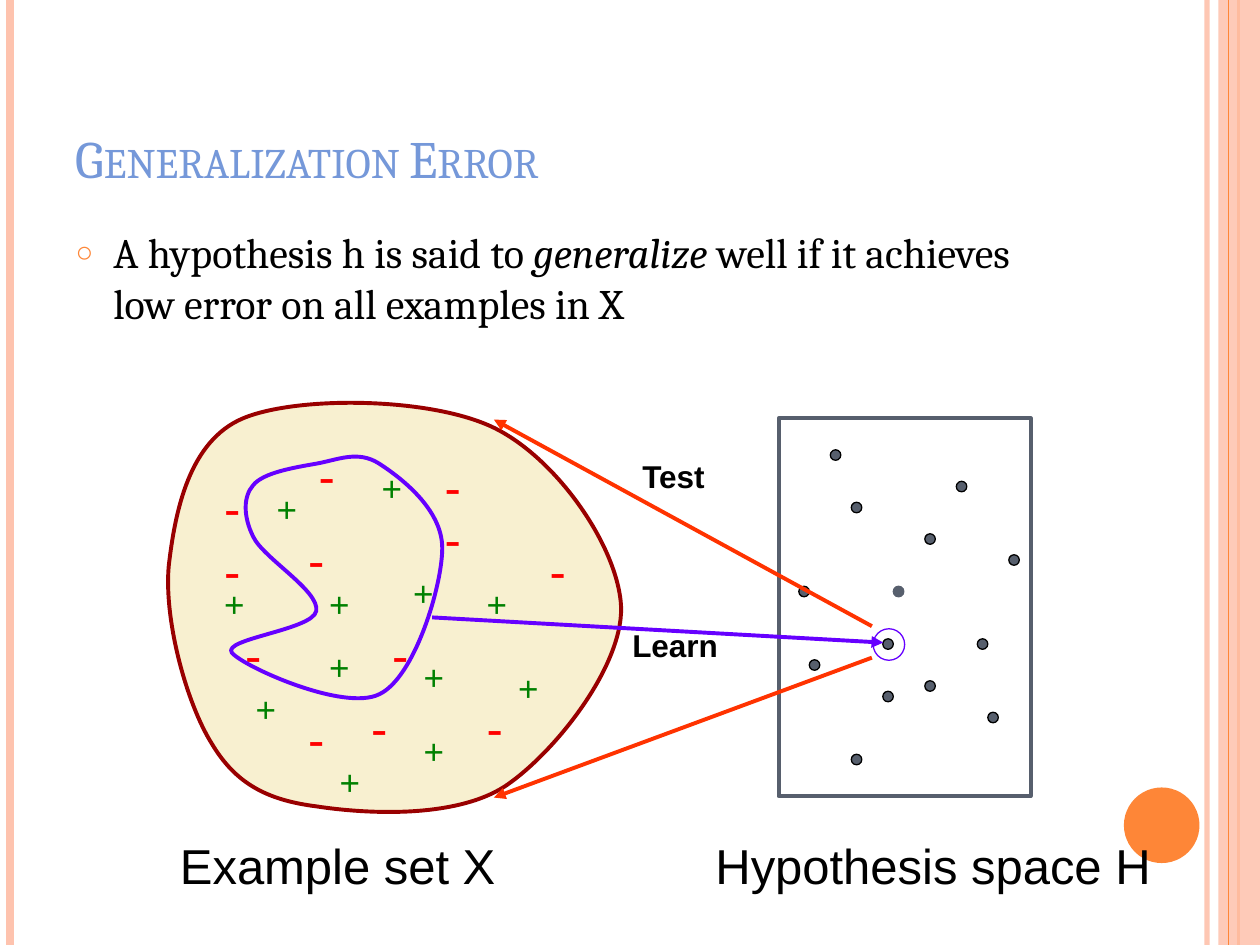
import pptx
import pptx.util
import pptx.dml.color
import pptx.enum.shapes
import pptx.enum.text
import pptx.oxml
import pptx.oxml.ns

Inches, Pt = pptx.util.Inches, pptx.util.Pt
SHAPE = pptx.enum.shapes.MSO_SHAPE
ANCHOR = pptx.enum.text.MSO_ANCHOR
FIT = pptx.enum.text.MSO_AUTO_SIZE
NS = pptx.oxml.ns.nsdecls("a")

# Content
TITLE = "Generalization Error"
STATEMENT = [("A hypothesis h is said to ", False), ("generalize", True),
             (" well if it achieves low error on all examples in X", False)]

# Marks and dots: (column, row) on a grid of twelfths of an inch
STEP = 1 / 12
MARK_ORIGIN, DOT_ORIGIN = (1.68, 3.49), (6.34, 3.57)
POSITIVES = [(10, 13), (19, 20), (10, 19), (0, 13), (11, 30), (15, 2),
             (25, 13), (28, 21), (3, 23), (18, 12), (5, 4), (19, 27)]
NEGATIVES = [(25, 24), (2, 17), (0, 3), (8, 25), (0, 9), (16, 17),
             (21, 1), (8, 8), (21, 6), (31, 9), (9, 0), (14, 24)]
HYPOTHESES = [(8, 18), (5, 5), (3, 0), (12, 8), (20, 10), (0, 13), (12, 22),
              (1, 20), (9, 13), (17, 18), (8, 23), (15, 3), (18, 25), (5, 29)]
UNOUTLINED_HYPOTHESIS = (9, 13)

# Closed curves: a start point, then two controls and an end per segment
EXAMPLE_SET = [(2.51, 6.4),
               (2.12, 6.35), (1.87, 6.22), (1.68, 5.9),
               (1.48, 5.58), (1.3, 4.92), (1.34, 4.49),
               (1.39, 4.06), (1.5, 3.5), (1.93, 3.32),
               (2.36, 3.14), (3.43, 3.15), (3.93, 3.4),
               (4.43, 3.65), (4.91, 4.35), (4.93, 4.82),
               (4.94, 5.29), (4.41, 5.97), (4.01, 6.24),
               (3.61, 6.5), (2.9, 6.46), (2.51, 6.4)]
TRAINING_SET = [(2.01, 4.26),
                (2.09, 4.43), (2.54, 4.69), (2.51, 4.85),
                (2.48, 5), (1.76, 5.07), (1.84, 5.18),
                (1.93, 5.29), (2.73, 5.65), (3.01, 5.51),
                (3.29, 5.38), (3.51, 4.65), (3.51, 4.35),
                (3.51, 4.04), (3.18, 3.79), (3.01, 3.68),
                (2.84, 3.57), (2.68, 3.65), (2.51, 3.68),
                (2.34, 3.71), (2.09, 3.75), (2.01, 3.85),
                (1.93, 3.94), (1.93, 4.1), (2.01, 4.26)]

# Text, left, top, width, height, size, bold
LABELS = [("Learn", 4.92, 4.92, 1, 0.4, 18, True),
          ("Test", 5, 3.58, 1, 0.4, 18, True),
          ("Example set X", 1.33, 6.58, 4, 0.57, 28, False),
          ("Hypothesis space H", 5.58, 6.58, 4, 0.57, 28, False)]

TEST, LEARN, SLATE, ORANGE, PEACH = "FF3300", "6600FF", "575F6D", "FE8637", "FEC3AE"
# Position, colour, width, opacity of the vertical page rules
RULES_BEHIND_BAND = [(9.58, PEACH, 3, 93), (0.08, PEACH, 4.5, 100),
                     (9.83, ORANGE, 1.5, 100)]
RULES_OVER_BAND = [(9.75, ORANGE, 0.75, 100)]


def rgb(value):
    return pptx.dml.color.RGBColor.from_string(value)


def set_opacity(part, percent):
    if percent < 100:
        for colour in part._element.spPr.iter(pptx.oxml.ns.qn("a:srgbClr")):
            colour.append(pptx.oxml.parse_xml(f'<a:alpha {NS} val="{percent * 1000}"/>'))


def paint(part, fill=None, line=None, width=0.75):
    part.shadow.inherit = False
    if fill:
        part.fill.solid()
        part.fill.fore_color.rgb = rgb(fill)
    else:
        part.fill.background()
    if line:
        part.line.color.rgb = rgb(line)
        part.line.width = Pt(width)
    else:
        part.line.fill.background()
    return part


def add_shape(parent, kind, box, **style):
    return paint(parent.shapes.add_shape(kind, *map(Inches, box)), **style)


def add_line(parent, start, end, colour, width, arrow=False):
    line = parent.shapes.add_connector(pptx.enum.shapes.MSO_CONNECTOR.STRAIGHT,
                                       *map(Inches, (*start, *end)))
    line.line.color.rgb = rgb(colour)
    line.line.width = Pt(width)
    if arrow:
        line.line._get_or_add_ln().append(
            pptx.oxml.parse_xml(f'<a:tailEnd {NS} type="triangle"/>'))
    line._element.spPr.append(pptx.oxml.parse_xml(f"<a:effectLst {NS}/>"))
    return line


def add_curve(parent, points, **style):
    start, *rest = [(round(x * 100), round(y * 100)) for x, y in points]
    builder = parent.shapes.build_freeform(*start, scale=Inches(0.01))
    builder.add_line_segments(rest, close=True)
    curve = builder.convert_to_shape()
    # Every three points become one cubic segment
    segments = list(curve._element.spPr.iter(pptx.oxml.ns.qn("a:lnTo")))
    for i in range(0, len(rest), 3):
        cubic = pptx.oxml.parse_xml(f"<a:cubicBezTo {NS}/>")
        segments[i].addprevious(cubic)
        for segment in segments[i:i + 3]:
            cubic.append(segment[0])
            segment.getparent().remove(segment)
    return paint(curve, **style)


def add_run(paragraph, text, size, font, colour, bold=None, italic=None):
    run = paragraph.add_run()
    run.text = text
    run.font.size, run.font.name = Pt(size), font
    run.font.bold, run.font.italic = bold, italic
    run.font.color.rgb = rgb(colour)
    return run


def add_label(parent, text, box, size, colour="000000", bold=False, wrap=True):
    frame = parent.shapes.add_textbox(*map(Inches, box)).text_frame
    frame.word_wrap = wrap
    frame.auto_size = FIT.SHAPE_TO_FIT_TEXT
    add_run(frame.paragraphs[0], text, size, "Arial", colour, bold)


def place(holder, box, anchor):
    holder.left, holder.top, holder.width, holder.height = map(Inches, box)
    frame = holder.text_frame
    frame.auto_size = FIT.NONE
    frame.vertical_anchor = anchor
    paragraph = frame.paragraphs[0]
    paragraph.alignment = pptx.enum.text.PP_ALIGN.LEFT
    return paragraph


def on_grid(origin, cell):
    return tuple(o + n * STEP for o, n in zip(origin, cell))


def add_rules(slide, rules):
    for x, colour, width, opacity in rules:
        set_opacity(add_line(slide, (x, 0), (x, 7.5), colour, width), opacity)


def add_page_frame(slide):
    add_rules(slide, RULES_BEHIND_BAND)
    set_opacity(add_shape(slide, SHAPE.RECTANGLE, (9.67, 0, 0.33, 7.5), fill=PEACH), 87)
    add_rules(slide, RULES_OVER_BAND)
    add_shape(slide, SHAPE.OVAL, (8.92, 6.25, 0.6, 0.6), fill=ORANGE)


def add_statement(slide):
    heading = place(slide.shapes.title, (0.5, 0.3, 8.17, 1.25), ANCHOR.BOTTOM)
    run = add_run(heading, TITLE, 30, "Cambria", "7598D9")
    run.font._element.set("cap", "small")

    bullet = place(slide.placeholders[1], (0.5, 1.75, 8.17, 5.33), ANCHOR.TOP)
    bullet.space_before = Pt(6)
    properties = bullet._p.get_or_add_pPr()
    properties.set("marL", str(Inches(0.3)))
    properties.set("indent", str(-Inches(0.3)))
    for xml in (f'<a:buClr {NS}><a:srgbClr val="{ORANGE}"/></a:buClr>',
                f'<a:buSzPct {NS} val="70000"/>',
                f'<a:buChar {NS} char="○"/>'):
        properties.append(pptx.oxml.parse_xml(xml))
    for text, italic in STATEMENT:
        add_run(bullet, text, 24, "Cambria", "000000", italic=italic)


def add_diagram(slide):
    # Example set grouped with its positive and negative examples
    examples = slide.shapes.add_group_shape()
    add_curve(examples, EXAMPLE_SET, fill="F8F0D0", line="990000", width=2.25)
    for sign, cells, size, extent, colour in (
            ("+", POSITIVES, 20, (0.36, 0.43), "008000"),
            ("-", NEGATIVES, 28, (0.33, 0.57), "FF0000")):
        for cell in cells:
            add_label(examples, sign, on_grid(MARK_ORIGIN, cell) + extent, size,
                      colour, wrap=False)

    # Hypothesis space
    add_shape(slide, SHAPE.RECTANGLE, (6.18, 3.32, 2, 3), line=SLATE, width=2.25)
    for cell in HYPOTHESES:
        outline = SLATE if cell == UNOUTLINED_HYPOTHESIS else "000000"
        add_shape(slide, SHAPE.OVAL, on_grid(DOT_ORIGIN, cell) + (STEP, STEP),
                  fill=SLATE, line=outline)

    # Learning from the training set, testing on the whole set
    add_curve(slide, TRAINING_SET, line=LEARN, width=2.25)
    add_line(slide, (3.43, 4.9), (7.01, 5.1), LEARN, 2.25, arrow=True)
    add_shape(slide, SHAPE.OVAL, (6.93, 4.99, 0.25, 0.25), line=LEARN)
    for start, end in (((6.92, 4.97), (3.92, 3.33)), ((6.92, 5.22), (3.92, 6.33))):
        add_line(slide, start, end, TEST, 2.25, arrow=True)
    for text, *box, size, bold in LABELS:
        add_label(slide, text, box, size, bold=bold)


def main():
    deck = pptx.Presentation()
    deck.slide_width, deck.slide_height = Inches(10), Inches(7.5)
    slide = deck.slides.add_slide(deck.slide_layouts[1])
    add_page_frame(slide)
    add_statement(slide)
    add_diagram(slide)
    deck.save("out.pptx")


if __name__ == "__main__":
    main()
